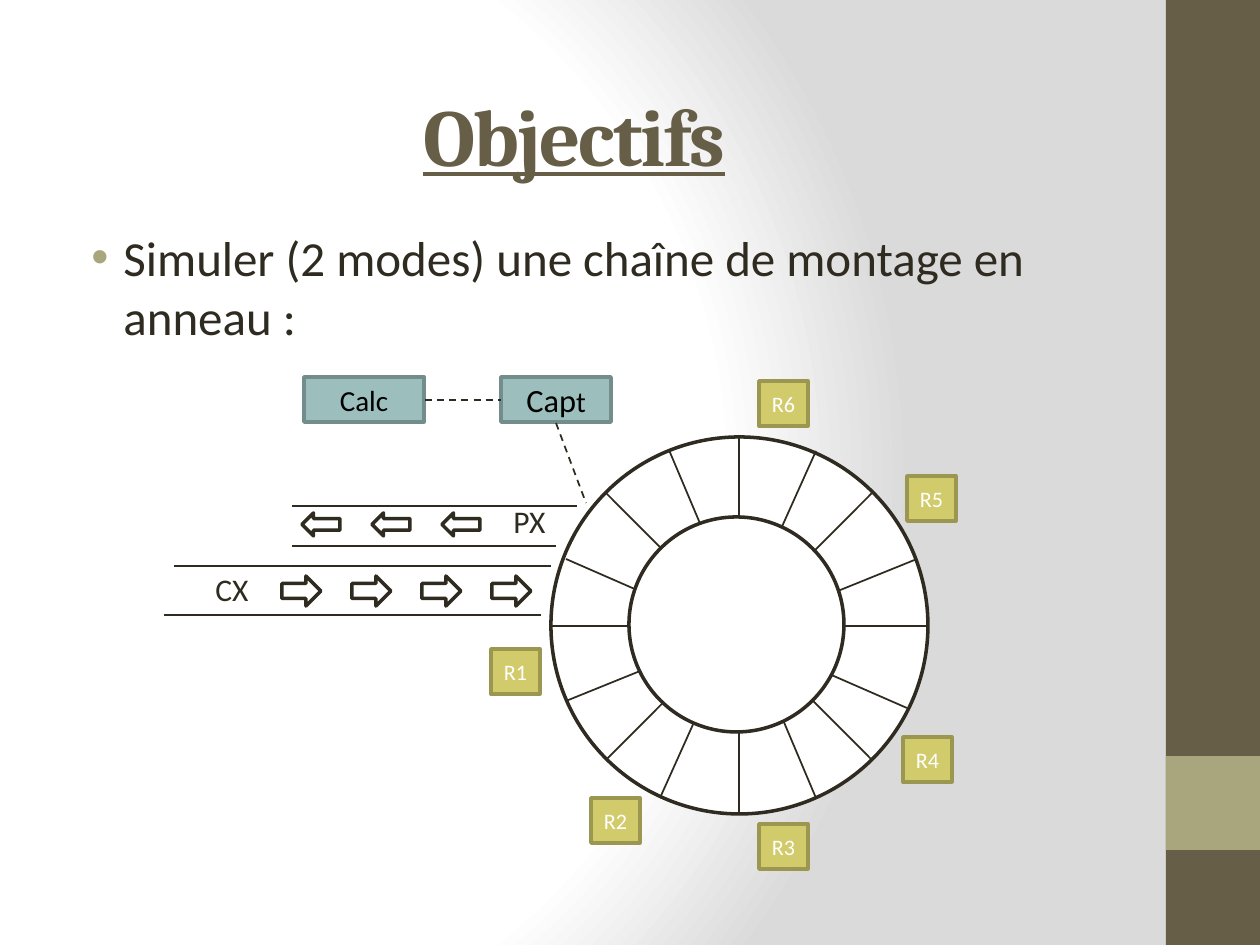
from dataclasses import dataclass

from lxml.etree import SubElement
from pptx import Presentation
from pptx.dml.color import RGBColor
from pptx.enum.dml import MSO_LINE_DASH_STYLE as Dash
from pptx.enum.shapes import MSO_CONNECTOR as Connector, MSO_SHAPE as Shape
from pptx.enum.text import MSO_ANCHOR as Anchor, PP_ALIGN as Align
from pptx.oxml.ns import qn
from pptx.util import Pt

SCALE = 914400 / 126


@dataclass(frozen=True)
class Theme:
    ink: str = "2F2B20"
    brown: str = "675E47"
    sand: str = "A9A57C"
    white: str = "FFFFFF"
    gray: str = "DADADA"
    black: str = "000000"
    robot: str = "D2CB6C"
    robot_edge: str = "9B9650"
    device: str = "9CBEBD"
    device_edge: str = "738D8C"
    heading_font: str = "Cambria"
    body_font: str = "Calibri"
    title_size: float = 46
    body_size: float = 28
    label_size: float = 18
    sensor_size: float = 18.5
    device_size: float = 16.6
    robot_size: float = 12.6


def emu(*lengths):
    return [round(length * SCALE) for length in lengths]


def apply(target, formats):
    for name, value in formats.items():
        setattr(target, name, value)


class Painter:
    def __init__(self, page, theme):
        self.page = page
        self.theme = theme

    def background(self, stops, focus):
        self.page.background.fill.gradient()
        gradient = self.page.element.find(".//" + qn("a:gradFill"))
        for child in list(gradient):
            gradient.remove(child)
        stop_list = SubElement(gradient, qn("a:gsLst"))
        for position, color in stops:
            stop = SubElement(stop_list, qn("a:gs"), pos=str(position * 1000))
            SubElement(stop, qn("a:srgbClr"), val=color)
        circle = SubElement(gradient, qn("a:path"), path="circle")
        edges = {side: str(value * 1000) for side, value in zip("ltrb", focus)}
        SubElement(circle, qn("a:fillToRect"), **edges)

    def shape(self, kind, area, fill, edge=None):
        shape = self.page.shapes.add_shape(kind, *emu(*area))
        shape.shadow.inherit = False
        shape.fill.solid()
        shape.fill.fore_color.rgb = RGBColor.from_string(fill)
        if edge:
            shape.line.color.rgb = RGBColor.from_string(edge)
            shape.line.width = Pt(2)
        else:
            shape.line.fill.background()
        return shape

    def line(self, start, end, dash=None):
        line = self.page.shapes.add_connector(Connector.STRAIGHT, *emu(*start, *end))
        SubElement(line._element.spPr, qn("a:effectLst"))
        line.line.color.rgb = RGBColor.from_string(self.theme.ink)
        apply(line.line, {"width": Pt(1), "dash_style": dash})

    def span(self, para, text, size, color, font=None, **formats):
        span = para.add_run()
        span.text = text
        span.font.color.rgb = RGBColor.from_string(color)
        apply(span.font, {"name": font or self.theme.body_font, "size": Pt(size), **formats})
        return span

    def block(self, area, fill, edge, color, *pieces):
        box = self.shape(Shape.RECTANGLE, area, fill, edge)
        margins = {f"margin_{side}": 0 for side in ("left", "top", "right", "bottom")}
        apply(box.text_frame, {"word_wrap": False, "vertical_anchor": Anchor.MIDDLE, **margins})
        para = box.text_frame.paragraphs[0]
        para.alignment = Align.CENTER
        for text, size in pieces:
            self.span(para, text, size, color)

    def text_box(self, area, anchor=Anchor.TOP, align=Align.LEFT):
        box = self.page.shapes.add_textbox(*emu(*area))
        apply(box.text_frame, {"word_wrap": True, "vertical_anchor": anchor})
        para = box.text_frame.paragraphs[0]
        para.alignment = align
        return para

    def title(self, area, text):
        para = self.text_box(area, Anchor.MIDDLE, Align.CENTER)
        theme = self.theme
        span = self.span(para, text, theme.title_size, theme.brown, theme.heading_font,
                         bold=True, underline=True)
        span.font._element.set("spc", "-100")

    def bullet(self, area, text):
        para = self.text_box(area)
        indent, hang = emu(48, -32)
        props = para._p.get_or_add_pPr()
        props.set("marL", str(indent))
        props.set("indent", str(hang))
        color = SubElement(props, qn("a:buClr"))
        SubElement(color, qn("a:srgbClr"), val=self.theme.sand)
        SubElement(props, qn("a:buFont"), typeface="Arial")
        SubElement(props, qn("a:buChar"), char="•")
        self.span(para, text, self.theme.body_size, self.theme.ink)

    def label(self, area, text):
        self.span(self.text_box(area), text, self.theme.label_size, self.theme.ink)


def draw_ring(painter):
    theme = painter.theme
    painter.shape(Shape.OVAL, (551, 437, 377, 377), theme.white, theme.ink)
    spokes = [
        ((739, 815), (739, 437)), ((606, 493), (872, 760)),
        ((872, 493), (606, 760)), ((551, 626), (927, 626)),
        ((566, 559), (907, 708)), ((566, 701), (917, 559)),
        ((660, 798), (816, 451)), ((669, 450), (816, 798)),
    ]
    for start, end in spokes:
        painter.line(start, end)
    painter.shape(Shape.OVAL, (629, 517, 215, 215), theme.white, theme.ink)


def draw_conveyors(painter):
    theme = painter.theme
    for left, right, top in [(174, 551, 566), (164, 541, 615), (292, 556, 546), (292, 577, 506)]:
        painter.line((right, top), (left, top))
    rows = [
        (Shape.RIGHT_ARROW, 4, (282, 576, 39, 30)),
        (Shape.LEFT_ARROW, 3, (302, 513, 38, 23)),
    ]
    for kind, count, (left, top, width, height) in rows:
        for index in range(count):
            area = (left + 70 * index, top, width, height)
            painter.shape(kind, area, theme.white, theme.ink)
    painter.label((203, 564, 79, 50), "CX")
    painter.label((501, 496, 79, 50), "PX")


def draw_stations(painter):
    theme = painter.theme
    corners = [(491, 649), (591, 798), (759, 824), (903, 737), (907, 476), (759, 381)]
    for number, corner in enumerate(corners, 1):
        painter.block((*corner, 49, 45), theme.robot, theme.robot_edge, theme.white,
                      (f"R{number}", theme.robot_size))
    devices = [
        ((501, 377, 110, 45), [("Cap", theme.sensor_size), ("t", theme.device_size)]),
        ((304, 377, 120, 45), [("Calc", theme.device_size)]),
    ]
    for area, pieces in devices:
        painter.block(area, theme.device, theme.device_edge, theme.black, *pieces)
    painter.line((556, 423), (586, 503), Dash.DASH)
    painter.line((425, 400), (501, 400), Dash.DASH)


def main():
    deck = Presentation()
    deck.slide_width, deck.slide_height = emu(1260, 945)
    theme = Theme()
    painter = Painter(deck.slides.add_slide(deck.slide_layouts[6]), theme)
    painter.background([(0, theme.white), (75, theme.white), (100, theme.gray)], (20, 50, 100, 50))
    painter.shape(Shape.RECTANGLE, (1166, 0, 94, 945), theme.brown)
    painter.shape(Shape.RECTANGLE, (1166, 756, 94, 94), theme.sand)
    painter.title((49, 55, 1050, 158), "Objectifs")
    painter.bullet((63, 221, 1050, 661), "Simuler (2 modes) une chaîne de montage en anneau :")
    draw_ring(painter)
    draw_conveyors(painter)
    draw_stations(painter)
    deck.save("out.pptx")


if __name__ == "__main__":
    main()
